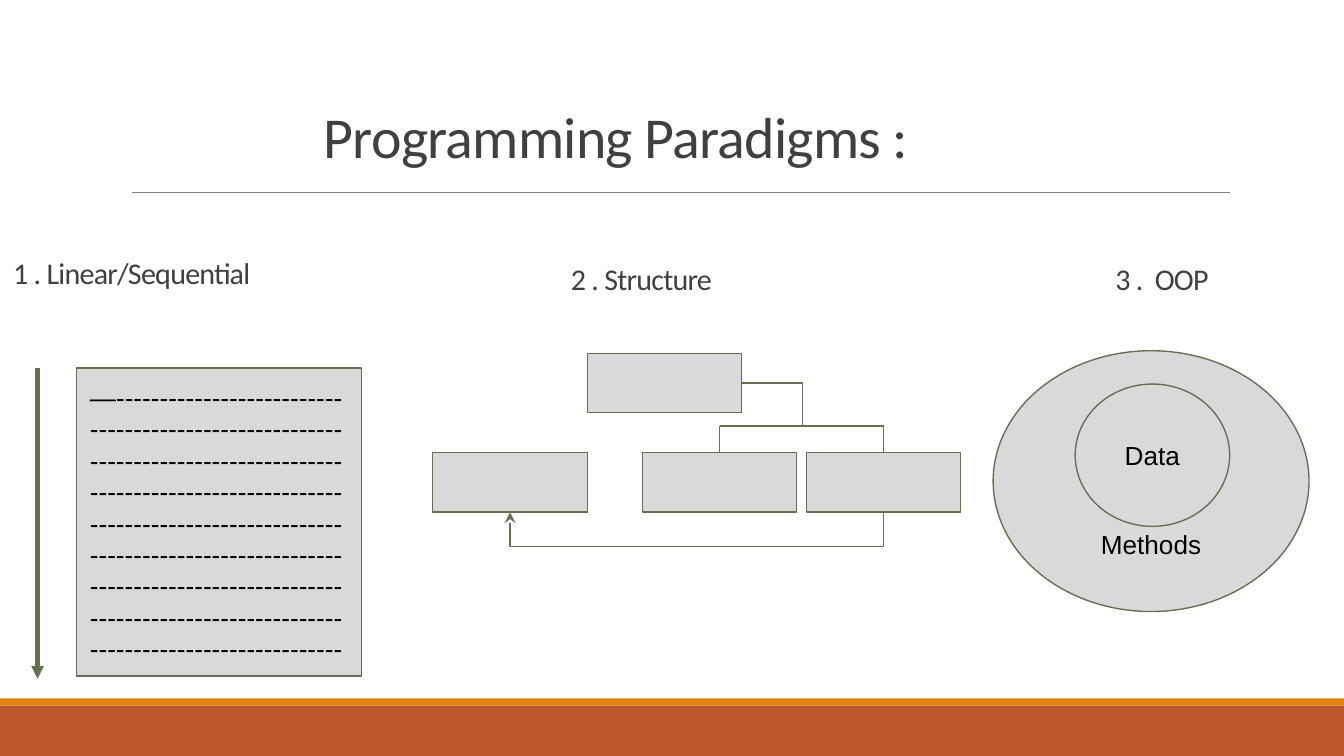
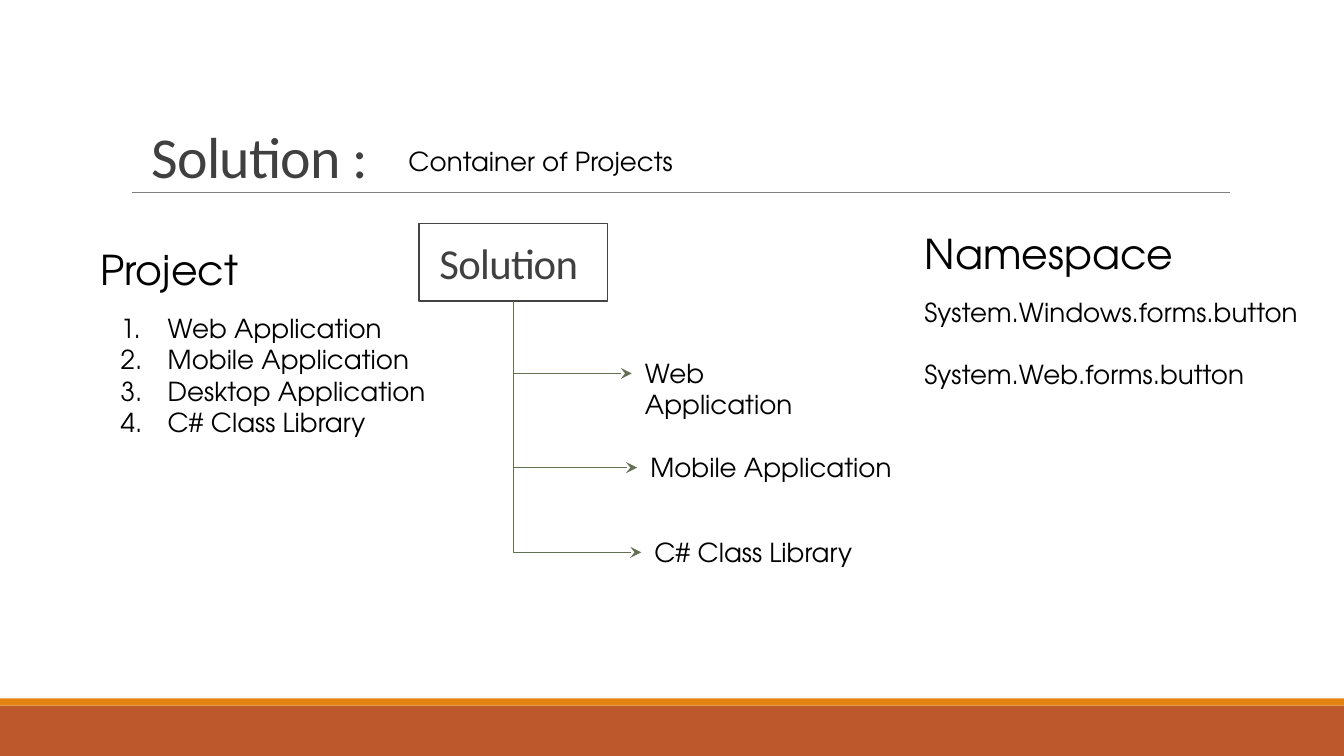
from dataclasses import dataclass

from pptx import Presentation
from pptx.dml.color import RGBColor
from pptx.enum.shapes import MSO_CONNECTOR, MSO_SHAPE
from pptx.enum.text import MSO_ANCHOR, MSO_AUTO_SIZE, PP_ALIGN
from pptx.oxml.ns import qn
from pptx.util import Cm, Pt
from lxml.etree import SubElement


@dataclass(frozen=True)
class Theme:
    band: str = "BD582C"
    strip: str = "E48312"
    rule: str = "808080"
    fill: str = "D9D9D9"
    line: str = "637052"
    frame: str = "434343"
    head: str = "404040"
    ink: str = "000000"
    sans: str = "Calibri"
    plain: str = "Arial"
    round: str = "TeX Gyre Adventor"
    title: float = 31
    large: float = 22.9
    group: float = 22
    label: float = 16.1
    body: float = 14


T = Theme()
TITLE = (T.sans, T.title, T.head)
LARGE = (T.sans, T.large, T.head)
LABEL = (T.sans, T.label, T.head)
GROUP = (T.round, T.group, T.ink)
BODY = (T.round, T.body, T.ink)
PLAIN = (T.plain, T.body, T.ink)

TOP, LEFT, BOTTOM, RIGHT = range(4)
BOX_W, BOX_H = 2.92, 1.12
LEVEL = 8.56
BAR = 8.05


def color(code):
    return RGBColor.from_string(code)


def apply(item, values):
    for name, value in values.items():
        setattr(item, name, value)


def place(shape, left, top, width, height):
    apply(shape, {"left": Cm(left), "top": Cm(top),
                  "width": Cm(width), "height": Cm(height)})


def frame(shape, anchor=MSO_ANCHOR.TOP):
    apply(shape.text_frame, {
        "word_wrap": True, "auto_size": MSO_AUTO_SIZE.NONE,
        "vertical_anchor": anchor,
        "margin_left": Cm(0.25), "margin_right": Cm(0.25),
        "margin_top": Cm(0.25), "margin_bottom": Cm(0.25)})


def write(para, text, style, align=PP_ALIGN.LEFT, before=0):
    name, size, ink = style
    apply(para, {"alignment": align, "space_before": Pt(before)})
    run = para.add_run()
    run.text = text
    apply(run.font, {"name": name, "size": Pt(size)})
    run.font.color.rgb = color(ink)
    if name == T.sans:
        run._r.get_or_add_rPr().set("spc", "-40")


def bullet(para, number):
    """Number the paragraph, or clear the bullet it inherits."""
    props = para._p.get_or_add_pPr()
    props.set("marL", str(Cm(1.27) if number else 0))
    props.set("indent", str(Cm(-0.89) if number else 0))
    if number:
        SubElement(props, qn("a:buFont")).set("typeface", T.round)
        SubElement(props, qn("a:buAutoNum")).set("type", "arabicPeriod")
    else:
        SubElement(props, qn("a:buNone"))


def title(slide, text, left, top):
    shape = slide.shapes.title
    place(shape, left, top, 19.53, 2.77)
    frame(shape)
    write(shape.text_frame.paragraphs[0], text, TITLE)


def note(slide, text, area, style=BODY):
    shape = slide.shapes.add_textbox(*map(Cm, area))
    frame(shape)
    write(shape.text_frame.paragraphs[0], text, style)
    return shape


def panel(slide, area, head, items, number=False, gap=0):
    """Fill the next body placeholder: a heading, then its items."""
    shape = next(p for p in slide.placeholders
                 if p.placeholder_format.idx and not p.text_frame.text)
    place(shape, *area)
    frame(shape)
    para = shape.text_frame.paragraphs[0]
    write(para, head, GROUP)
    bullet(para, False)
    for i, item in enumerate(items):
        para = shape.text_frame.add_paragraph()
        write(para, item, BODY, before=gap if i else 10)
        bullet(para, number)


def block(slide, area, fill=T.fill, line=T.line, kind=MSO_SHAPE.RECTANGLE):
    shape = slide.shapes.add_shape(kind, *map(Cm, area))
    shape.shadow.inherit = False
    if fill:
        shape.fill.solid()
        shape.fill.fore_color.rgb = color(fill)
    else:
        shape.fill.background()
    if line:
        shape.line.color.rgb = color(line)
        shape.line.width = Pt(0.75)
    else:
        shape.line.fill.background()
    return shape


def label(shape, text, style=PLAIN, align=PP_ALIGN.CENTER,
          anchor=MSO_ANCHOR.TOP):
    frame(shape, anchor)
    write(shape.text_frame.paragraphs[0], text, style, align)


def stroke(link, width=0.75, tip=None, ink=T.line):
    link.line.color.rgb = color(ink)
    link.line.width = Pt(width)
    if tip:
        SubElement(link.line._get_or_add_ln(), qn("a:tailEnd")).set("type", tip)
    SubElement(link.element.spPr, qn("a:effectLst"))


def line(slide, x1, y1, x2, y2, **look):
    link = slide.shapes.add_connector(
        MSO_CONNECTOR.STRAIGHT, *map(Cm, (x1, y1, x2, y2)))
    stroke(link, **look)
    return link


def site(shape, side):
    """Give the middle of one side of a shape."""
    if side in (TOP, BOTTOM):
        return (shape.left + shape.width // 2,
                shape.top + (shape.height if side == BOTTOM else 0))
    return (shape.left + (shape.width if side == RIGHT else 0),
            shape.top + shape.height // 2)


def elbow(slide, start, end, bends=2, turn=0, flip=False, drop=None, tip=None):
    """Bend from a (shape, side) to another one or to a point.

    drop is how far the middle part lies from the start of a turned link.
    """
    x1, y1 = site(*start)
    joined = hasattr(end[0], "shape_id")
    x2, y2 = site(*end) if joined else end
    link = slide.shapes.add_connector(MSO_CONNECTOR.ELBOW, x1, y1, x2, y2)
    link.begin_connect(*start)
    if joined:
        link.end_connect(*end)
    wide, high = abs(x2 - x1), abs(y2 - y1)
    if turn:
        wide, high = max(high, Cm(0.01)), wide
    apply(link, {"left": (x1 + x2 - wide) // 2, "top": (y1 + y2 - high) // 2,
                 "width": wide, "height": high})
    props = link.element.spPr
    for name, value in {"rot": turn * 60000, "flipH": int(flip),
                        "flipV": 0}.items():
        props.xfrm.set(name, str(value))
    shape = props.find(qn("a:prstGeom"))
    shape.set("prst", f"bentConnector{bends + 1}")
    if drop:
        guide = SubElement(shape.find(qn("a:avLst")), qn("a:gd"))
        guide.set("name", "adj1")
        guide.set("fmla", f"val {round(Cm(drop) / wide * 100000)}")
    stroke(link, tip=tip)


def dress(deck, slide):
    """Move the bands and the title rule to the master."""
    parts = [block(slide, (0, 13.34, 25.4, 0.95), T.band, None),
             block(slide, (0, 13.2, 25.4, 0.14), T.strip, None),
             line(slide, 2.49, 3.63, 23.24, 3.63, width=0.5, ink=T.rule)]
    tree = deck.slide_master.element.cSld.spTree
    for i, part in enumerate(parts):
        part.element.xpath(".//p:cNvPr")[0].set("id", str(20 + i))
        tree.append(part.element)


def styles(slide):
    title(slide, "Programming Paradigms :", 5.87, 1.65)
    note(slide, "1 . Linear/Sequential", (0, 4.57, 7.54, 1.19), LABEL)
    for text, left in (("2 . Structure", 10.54), ("3 .  OOP", 20.83)):
        note(slide, text, (left, 4.67, 4.57, 1.02), LABEL)

    code = block(slide, (1.45, 6.96, 5.38, 5.82))
    label(code, "—" + "-" * 258, align=PP_ALIGN.LEFT)
    line(slide, 0.71, 6.96, 0.71, 12.83, width=2.25, tip="triangle")

    root = block(slide, (11.1, 6.68, BOX_W, BOX_H))
    back, left, right = [block(slide, (x, LEVEL, BOX_W, BOX_H))
                         for x in (8.18, 12.14, 15.24)]
    line(slide, 13.6, BAR, 16.7, BAR)
    for child in (left, right):
        x = site(child, TOP)[0].cm if hasattr(site(child, TOP)[0], "cm") \
            else site(child, TOP)[0] / Cm(1)
        link = line(slide, x, LEVEL, x, BAR)
        link.begin_connect(child, TOP)
    elbow(slide, (root, RIGHT), (Cm(16.31), Cm(BAR)))
    elbow(slide, (right, BOTTOM), (back, BOTTOM), turn=90, drop=0.66,
          tip="stealth")

    outer = block(slide, (18.77, 6.63, 5.97, 4.93), kind=MSO_SHAPE.OVAL)
    label(outer, "Methods", anchor=MSO_ANCHOR.BOTTOM)
    inner = block(slide, (20.32, 7.26, 2.92, 2.69), kind=MSO_SHAPE.OVAL)
    label(inner, "Data", anchor=MSO_ANCHOR.MIDDLE)


def projects(slide):
    title(slide, "Solution :", 2.62, 2.03)
    note(slide, "Container of Projects", (7.47, 2.49, 9.83, 1.12))
    panel(slide, (1.65, 4.37, 9.83, 4.22), "Project",
          ["Web Application", "Mobile Application", "Desktop Application",
           "C# Class Library"], number=True)
    panel(slide, (17.22, 4.06, 9.83, 3.61), "Namespace",
          ["System.Windows.forms.button", "System.Web.forms.button"], gap=16.9)

    root = block(slide, (7.92, 4.22, 3.56, 1.47), None, T.frame)
    label(root, "Solution ", LARGE)
    for text, left, top, width in (("Web Application", 11.94, 6.5, 4.34),
                                   ("Mobile Application", 12.04, 8.28, 5.69),
                                   ("C# Class Library", 12.12, 9.88, 4.34)):
        leaf = note(slide, text, (left, top, width, 1.12))
        elbow(slide, (root, BOTTOM), (leaf, LEFT), bends=1, turn=270,
              flip=True, tip="stealth")


def main():
    deck = Presentation()
    apply(deck, {"slide_width": Cm(25.4), "slide_height": Cm(14.29)})
    only, pair = deck.slide_layouts[5], deck.slide_layouts[3]
    first = deck.slides.add_slide(only)
    dress(deck, first)
    styles(first)
    projects(deck.slides.add_slide(pair))
    deck.save("out.pptx")


if __name__ == "__main__":
    main()
